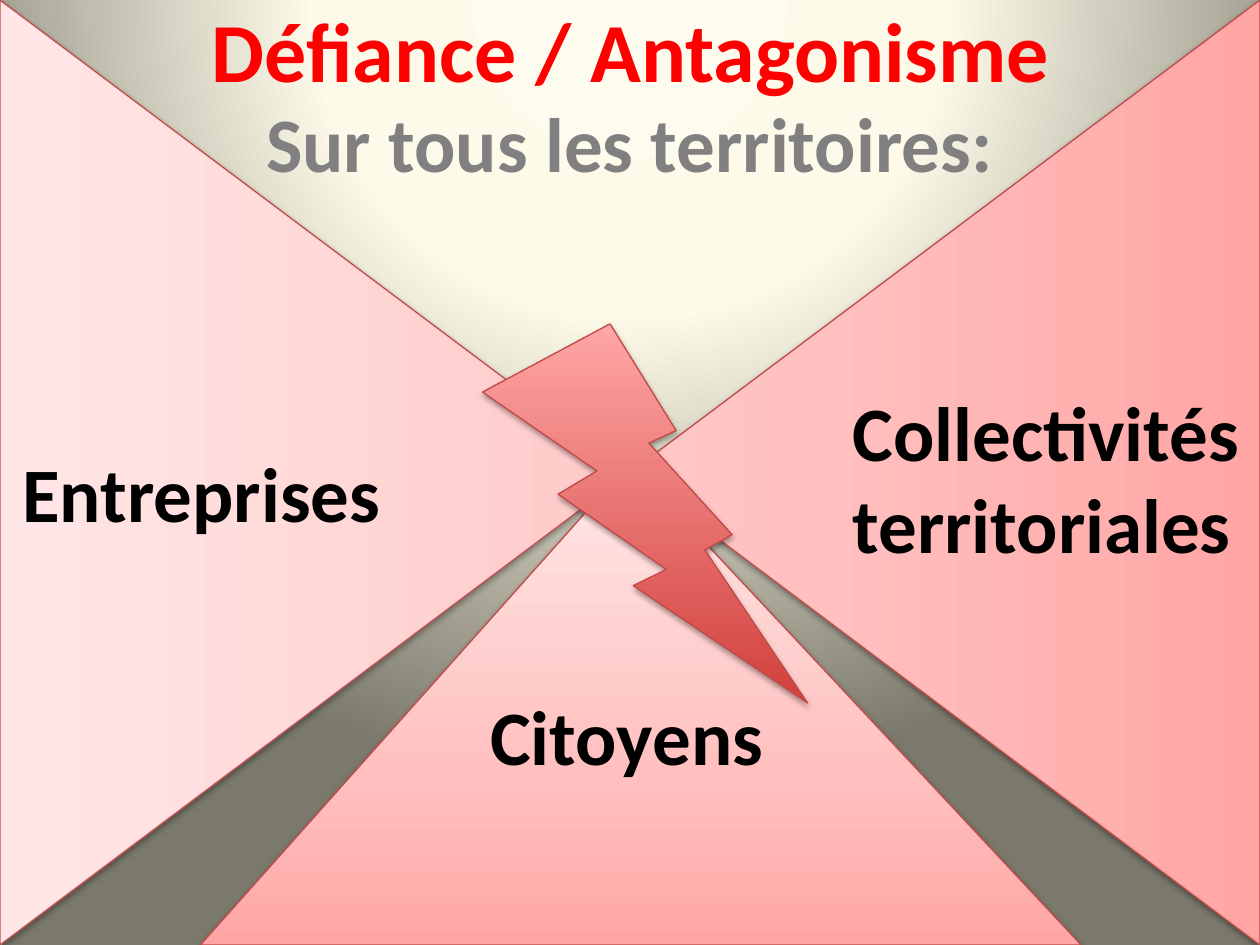
from lxml import etree
from pptx import Presentation
from pptx.dml.color import RGBColor
from pptx.enum.shapes import MSO_SHAPE as Shape
from pptx.enum.text import MSO_ANCHOR as Anchor, PP_ALIGN as Align
from pptx.oxml import parse_xml
from pptx.oxml.ns import nsdecls, qn
from pptx.util import Inches, Pt

BLACK = RGBColor(0x00, 0x00, 0x00)
RED = RGBColor(0xFF, 0x00, 0x00)
GRAY = RGBColor(0x80, 0x80, 0x80)
OUTLINE = RGBColor(0xBF, 0x4C, 0x48)
PINKS = [(0, RGBColor(0xFF, 0xA6, 0xA5)), (35, RGBColor(0xFF, 0xC0, 0xBF)),
         (100, RGBColor(0xFF, 0xE7, 0xE7))]
REDS = [(0, RGBColor(0xD1, 0x40, 0x3C)), (100, RGBColor(0xFF, 0xA6, 0xA5))]
CREAMS = [(0, RGBColor(0xFE, 0xFC, 0xEE)), (40, RGBColor(0xFD, 0xFA, 0xEA)),
          (100, RGBColor(0x7B, 0x79, 0x6B))]
UPWARD = '<a:lin ang="16200000" scaled="0"/>'
CIRCLE = ('<a:path path="circle"><a:fillToRect l="50000" t="-80000" '
          'r="50000" b="180000"/></a:path>')


def set_gradient(fill, properties, stops, direction):
    fill.solid()
    stop_xml = "".join(
        f'<a:gs pos="{position * 1000}"><a:srgbClr val="{color}"/></a:gs>'
        for position, color in stops)
    gradient = parse_xml(f'<a:gradFill {nsdecls("a")} rotWithShape="1">'
                         f'<a:gsLst>{stop_xml}</a:gsLst>{direction}</a:gradFill>')
    properties.replace(properties.find(qn("a:solidFill")), gradient)


def write_text(frame, text, size, color, align, anchor):
    frame.word_wrap = True
    frame.vertical_anchor = anchor
    paragraph = frame.paragraphs[0]
    paragraph.text = text
    paragraph.alignment = align
    formats = {"name": "Calibri", "size": Pt(size), "bold": True}
    for name, value in formats.items():
        setattr(paragraph.font, name, value)
    paragraph.font.color.rgb = color


presentation = Presentation()
presentation.slide_width = Inches(10)
presentation.slide_height = Inches(7.5)
slide = presentation.slides.add_slide(presentation.slide_layouts[6])

background_fill = slide.background.fill
background_fill.solid()
set_gradient(background_fill, next(slide.element.iter(qn("p:bgPr"))), CREAMS, CIRCLE)

figures = [
    (Shape.FLOWCHART_COLLATE, (1.25, -1.25, 7.5, 10), 270, PINKS, 38, 1.6),
    (Shape.ISOSCELES_TRIANGLE, (1.59, 3.67, 6.99, 3.83), 0, PINKS, 38, 1.6),
    (Shape.LIGHTNING_BOLT, (3.83, 2.57, 2.58, 3.01), 0, REDS, 35, 1.8),
]
for kind, box, rotation, stops, opacity, distance in figures:
    shape = slide.shapes.add_shape(kind, *map(Inches, box))
    shape.rotation = rotation
    shape.line.color.rgb = OUTLINE
    shape.line.width = Pt(0.75)
    properties = shape.element.spPr
    set_gradient(shape.fill, properties, stops, UPWARD)
    shape.shadow.inherit = False
    shadow = etree.SubElement(
        properties.find(qn("a:effectLst")), qn("a:outerShdw"),
        blurRad=str(Pt(3.1)), dist=str(Pt(distance)), dir="5400000", rotWithShape="0")
    shadow_color = etree.SubElement(shadow, qn("a:srgbClr"), val=str(BLACK))
    etree.SubElement(shadow_color, qn("a:alpha"), val=str(opacity * 1000))
    if kind == Shape.ISOSCELES_TRIANGLE:
        shape.adjustments[0] = 0.488
        shape.text_frame.margin_bottom = Inches(1.47)
        write_text(shape.text_frame, "Citoyens ", 44, BLACK, Align.CENTER, Anchor.MIDDLE)

labels = [
    ("Défiance / Antagonisme", (0.17, 0.08, 9.67, 0.61), 48, RED, Align.CENTER, Anchor.MIDDLE),
    ("Sur tous les territoires:", (0.5, 0.5, 9, 1.25), 44, GRAY, Align.CENTER, Anchor.MIDDLE),
    ("Collectivités territoriales", (6.67, 3, 3.58, 1.58), 44, BLACK, Align.LEFT, Anchor.TOP),
    ("Entreprises", (0.08, 3.49, 3.58, 0.84), 44, BLACK, Align.LEFT, Anchor.TOP),
]
for text, box, size, color, align, anchor in labels:
    label = slide.shapes.add_textbox(*map(Inches, box))
    write_text(label.text_frame, text, size, color, align, anchor)

presentation.save("out.pptx")
